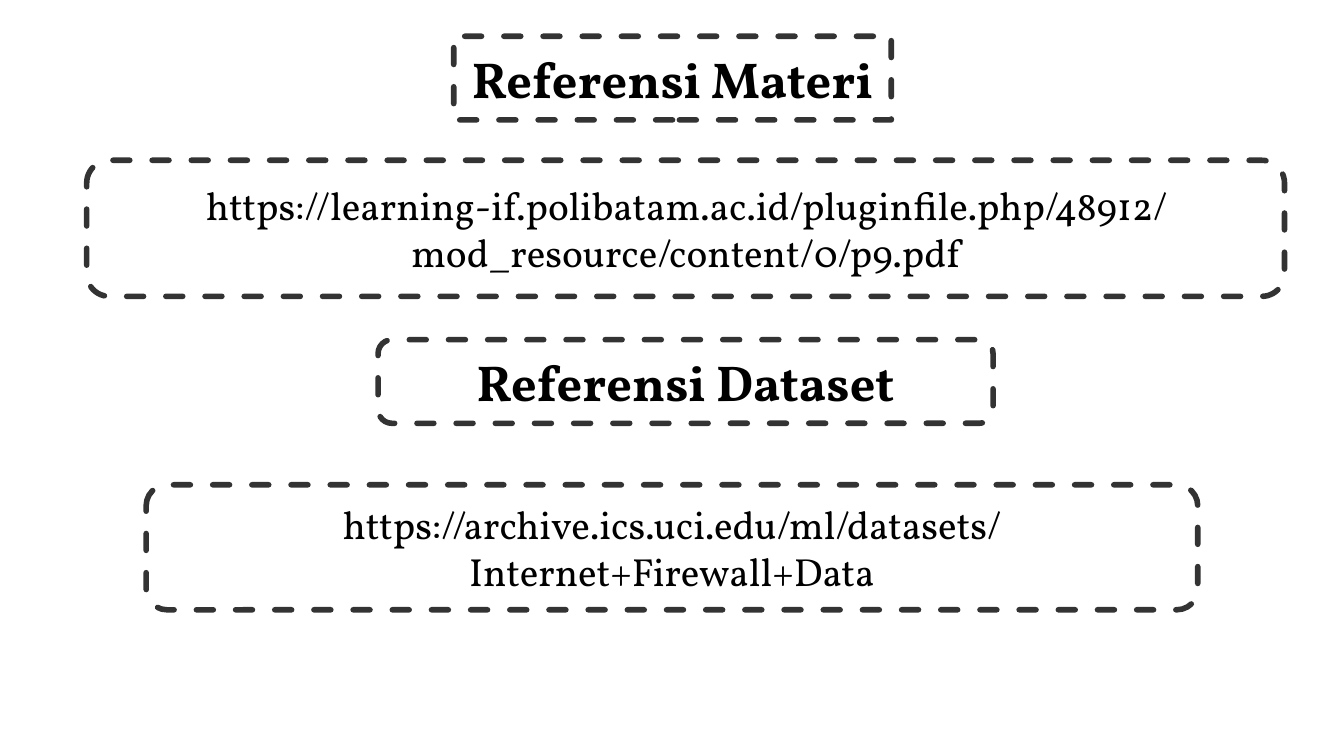
"""Build the slide that lists the material and dataset references."""
import lxml.etree
import pptx
import pptx.dml.color
import pptx.enum.dml
import pptx.enum.shapes
import pptx.enum.text
import pptx.oxml.ns
import pptx.util
from pptx.util import Inches

COLORS = {"background": "FFFFFF", "ink": "000000"}
FONT = "Vollkorn"


def color(name):
    return pptx.dml.color.RGBColor.from_string(COLORS[name])


def write_text(shape, text, size=28, bold=False):
    frame = shape.text_frame
    frame.text = text
    frame.word_wrap = True
    frame.auto_size = pptx.enum.text.MSO_AUTO_SIZE.NONE
    frame.vertical_anchor = pptx.enum.text.MSO_ANCHOR.MIDDLE
    paragraph = frame.paragraphs[0]
    paragraph.alignment = pptx.enum.text.PP_ALIGN.CENTER
    font = paragraph.runs[0].font
    font.name = FONT
    font.size = pptx.util.Pt(size)
    font.bold = bold
    font.color.rgb = color("ink")


def style_frame(shape):
    shape.fill.solid()
    shape.fill.fore_color.rgb = color("background")
    shape.line.color.rgb = color("ink")
    shape.line.width = pptx.util.Pt(4)
    shape.line.dash_style = pptx.enum.dml.MSO_LINE.DASH
    shape.shadow.inherit = False
    line = shape._element.spPr.get_or_add_ln()
    line.set("cap", "rnd")
    ink = line.find(".//" + pptx.oxml.ns.qn("a:srgbClr"))
    lxml.etree.SubElement(ink, pptx.oxml.ns.qn("a:alpha"), val="80000")


def add_framed_text(slide, text, left, top, width, height, **text_format):
    shape = slide.shapes.add_shape(
        pptx.enum.shapes.MSO_SHAPE.ROUNDED_RECTANGLE,
        Inches(left), Inches(top), Inches(width), Inches(height))
    style_frame(shape)
    write_text(shape, text, **text_format)


def place_framed_title(slide, text, left, top, width, height, **text_format):
    title = slide.shapes.title
    title.left, title.top = Inches(left), Inches(top)
    title.width, title.height = Inches(width), Inches(height)
    geometry = lxml.etree.Element(pptx.oxml.ns.qn("a:prstGeom"), prst="roundRect")
    lxml.etree.SubElement(geometry, pptx.oxml.ns.qn("a:avLst"))
    title._element.spPr.find(pptx.oxml.ns.qn("a:xfrm")).addnext(geometry)
    style_frame(title)
    write_text(title, text, **text_format)


def main():
    presentation = pptx.Presentation()
    presentation.slide_width = Inches(13.33)
    presentation.slide_height = Inches(7.5)
    slide = presentation.slides.add_slide(
        presentation.slide_layouts.get_by_name("Title Only"))
    slide.background.fill.solid()
    slide.background.fill.fore_color.rgb = color("background")

    heading = {"size": 36, "bold": True}
    place_framed_title(slide, "Referensi Materi", 4.5, 0.36, 4.34, 0.83, **heading)
    add_framed_text(slide, "Referensi Dataset", 3.75, 3.37, 6.1, 0.83, **heading)
    add_framed_text(
        slide,
        "https://learning-if.polibatam.ac.id/pluginfile.php/48912/mod_resource/content/0/p9.pdf",
        0.86, 1.59, 11.88, 1.35)
    add_framed_text(
        slide,
        "https://archive.ics.uci.edu/ml/datasets/Internet+Firewall+Data",
        1.45, 4.81, 10.43, 1.24)
    presentation.save("out.pptx")


if __name__ == "__main__":
    main()
